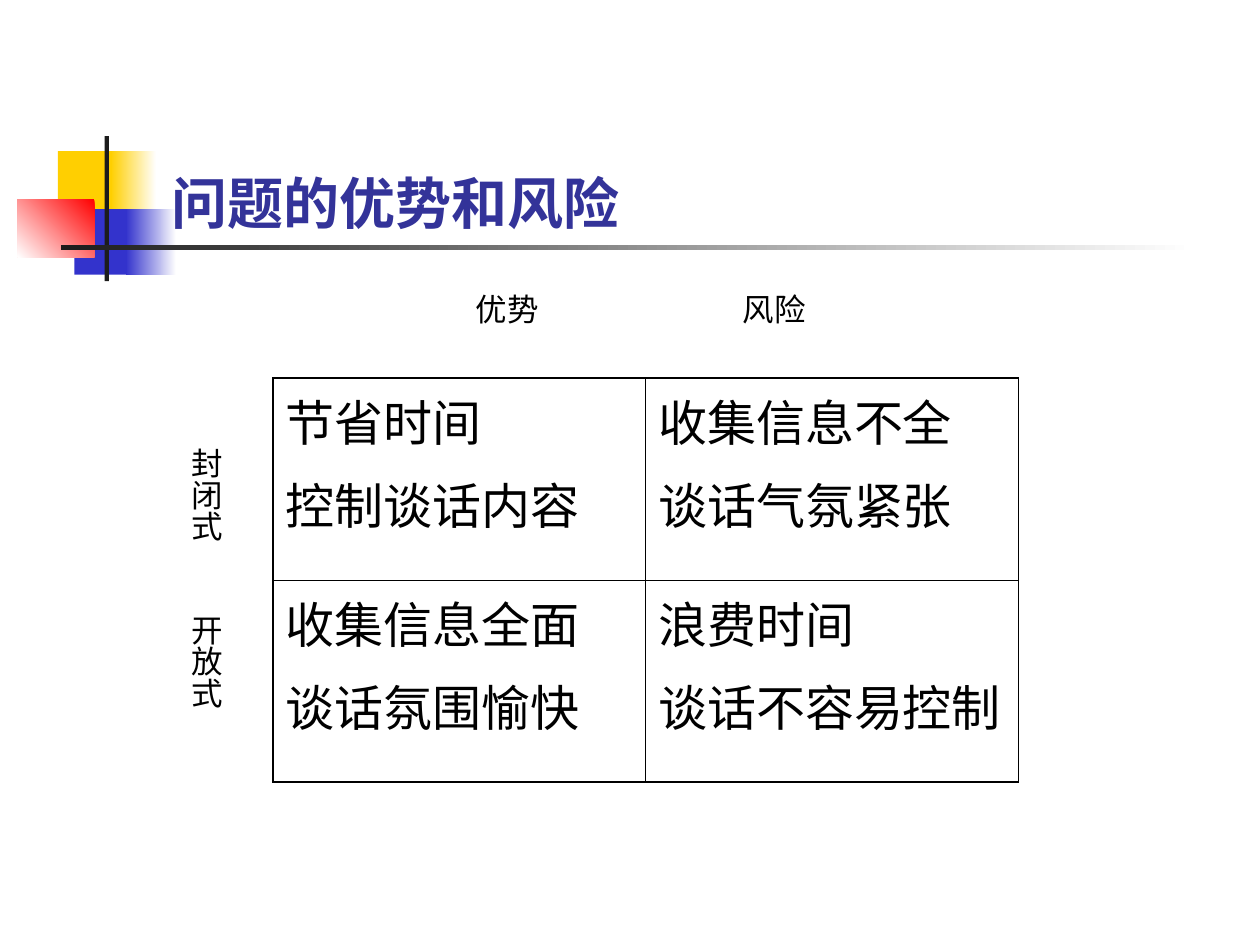
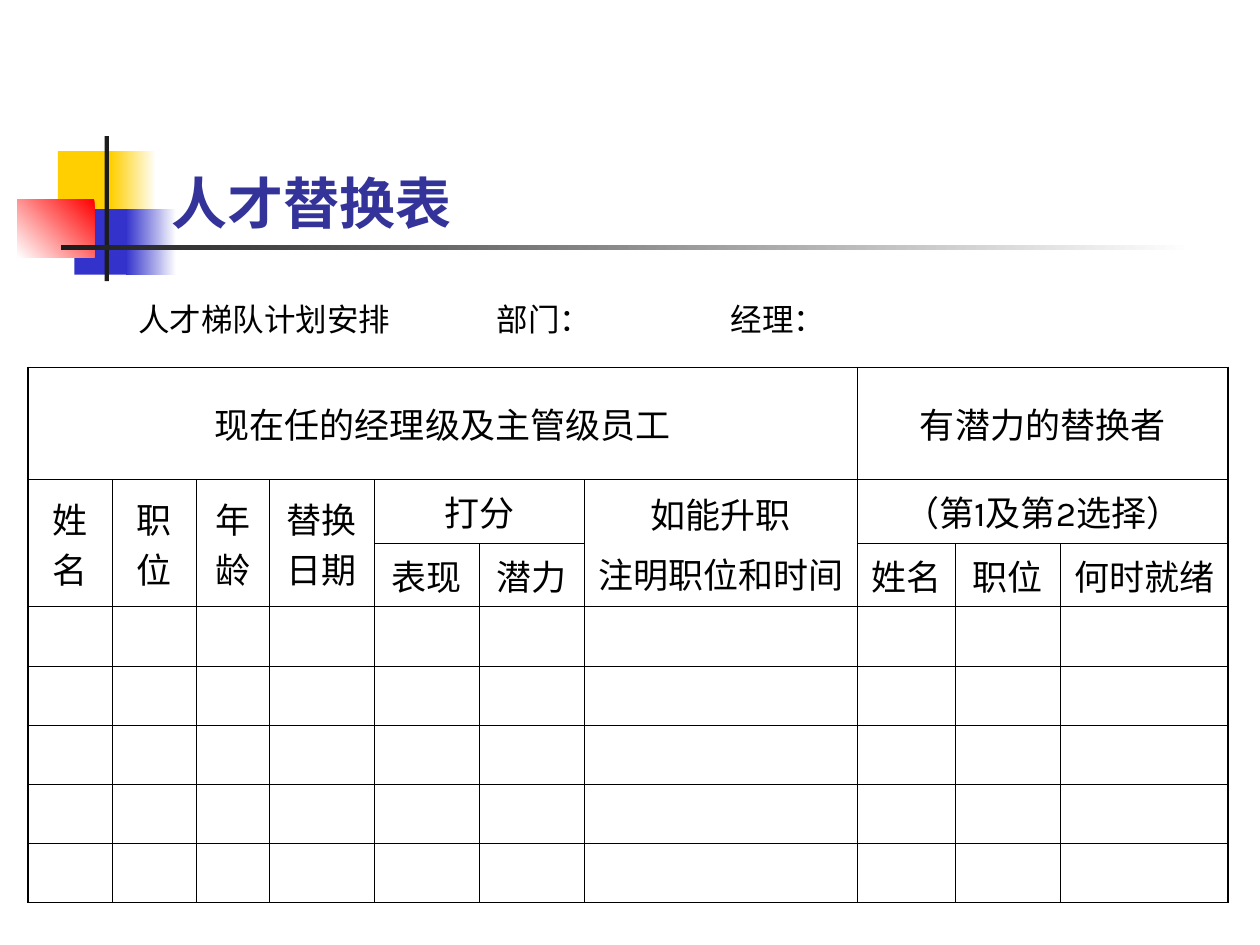
from typing import NamedTuple

from lxml.etree import SubElement
from pptx import Presentation
from pptx.dml.color import RGBColor
from pptx.enum.shapes import MSO_SHAPE as Shape
from pptx.enum.text import MSO_ANCHOR as Anchor, MSO_AUTO_SIZE as AutoSize, PP_ALIGN as Align
from pptx.oxml.ns import qn
from pptx.util import Pt

FONT = "Karla"
BLACK, WHITE, NAVY = "000000", "FFFFFF", "333399"
YELLOW, BLUE, RED, DARK = "FFCF01", "3333CC", "FF0000", "1C1C1C"
OUTER, INNER = 1.08, 0.45


class Block(NamedTuple):
    left: float
    top: float
    width: float
    height: float
    color: str
    end_color: str = ""
    angle: float = 180


class Label(NamedTuple):
    left: float
    top: float
    width: float
    height: float
    text: str
    tabs: tuple[float, ...] = ()
    size: float = 18
    color: str = BLACK
    bold: bool = False
    vertical: bool = False


class Entry(NamedTuple):
    row: int
    col: int
    text: str
    rows: int = 1
    cols: int = 1


class Grid(NamedTuple):
    left: float
    top: float
    cols: list[float]
    rows: list[float]
    entries: list[Entry]
    size: float
    space: float
    align: Align
    anchor: Anchor


MOTIF = [
    Block(33.1, 86.4, 34.6, 37.4, YELLOW),
    Block(63.4, 86.4, 25.9, 37.4, WHITE, YELLOW),
    Block(42.5, 119.5, 33.1, 37.4, BLUE),
    Block(72, 119.5, 28.8, 37.4, WHITE, BLUE),
    Block(10, 113.8, 44, 33.1, RED, WHITE, 225),
    Block(59.8, 77.8, 2.4, 82.8, DARK),
    Block(34.6, 140.2, 648, 2.4, WHITE, DARK),
]

QUESTION_GRID = Grid(
    156, 216, [213] * 2, [115.5] * 2,
    [
        Entry(0, 0, "节省时间\n控制谈话内容"),
        Entry(0, 1, "收集信息不全\n谈话气氛紧张"),
        Entry(1, 0, "收集信息全面\n谈话氛围愉快"),
        Entry(1, 1, "浪费时间\n谈话不容易控制"),
    ],
    28, 7, Align.LEFT, Anchor.TOP,
)
QUESTION_LABELS = [
    Label(96.5, 216, 36, 228, "\t封闭式\t开放式", (32.8, 128), vertical=True),
    Label(185.8, 162, 360, 28.8, "\t优势\t风险", (79, 231.6)),
]

SUCCESSION_GRID = Grid(
    16, 210, [48, 48, 42, 60, 60, 60, 156, 56, 60, 96], [64, 36.4, 36.4] + [33.8] * 5,
    [
        Entry(0, 0, "现在任的经理级及主管级员工", cols=7),
        Entry(0, 7, "有潜力的替换者", cols=3),
        Entry(1, 0, "姓名", rows=2),
        Entry(1, 1, "职位", rows=2),
        Entry(1, 2, "年龄", rows=2),
        Entry(1, 3, "替换日期", rows=2),
        Entry(1, 4, "打分", cols=2),
        Entry(1, 6, "如能升职\n注明职位和时间", rows=2),
        Entry(1, 7, "（第1及第2选择）", cols=3),
        Entry(2, 4, "表现"),
        Entry(2, 5, "潜力"),
        Entry(2, 7, "姓名"),
        Entry(2, 8, "职位"),
        Entry(2, 9, "何时就绪"),
    ],
    20, 5, Align.CENTER, Anchor.MIDDLE,
)
SUCCESSION_LABELS = [
    Label(72, 167.8, 612, 28.8, "人才梯队计划安排\t部门：\t经理：", (204.8, 338.5)),
]


def rgb(color: str) -> RGBColor:
    return RGBColor.from_string(color)


def style(p, size: float, color: str = BLACK, bold: bool = False) -> None:
    p.font.name = FONT
    p.font.size = Pt(size)
    p.font.bold = bold
    p.font.color.rgb = rgb(color)


def add_block(s, b: Block) -> None:
    sp = s.shapes.add_shape(Shape.RECTANGLE, *map(Pt, b[:4]))
    sp.shadow.inherit = False
    sp.line.fill.background()
    if b.end_color:
        sp.fill.gradient()
        sp.fill.gradient_angle = b.angle
        for stop, color in zip(sp.fill.gradient_stops, (b.color, b.end_color)):
            stop.color.rgb = rgb(color)
    else:
        sp.fill.solid()
        sp.fill.fore_color.rgb = rgb(b.color)


def add_label(s, label: Label):
    tf = s.shapes.add_textbox(*map(Pt, label[:4])).text_frame
    tf.word_wrap = True
    if label.vertical:
        tf._txBody.bodyPr.set("vert", "eaVert")
        tf.margin_left = tf.margin_right = Pt(3.6)
        tf.margin_top = tf.margin_bottom = Pt(7.2)
    p = tf.paragraphs[0]
    p.text = label.text
    if label.tabs:
        tabs = SubElement(p._p.get_or_add_pPr(), qn("a:tabLst"))
        for pos in label.tabs:
            SubElement(tabs, qn("a:tab"), pos=str(Pt(pos)), algn="l")
        tf.auto_size = AutoSize.SHAPE_TO_FIT_TEXT
    style(p, label.size, label.color, label.bold)
    return tf


def set_borders(cell, edges: dict[str, bool]) -> None:
    tcPr = cell._tc.get_or_add_tcPr()
    for i, (side, outer) in enumerate(edges.items()):
        width = Pt(OUTER if outer else INNER)
        ln = SubElement(tcPr, qn(f"a:ln{side}"), w=str(width))
        fill = SubElement(ln, qn("a:solidFill"))
        SubElement(fill, qn("a:srgbClr"), val=BLACK)
        tcPr.insert(i, ln)


def add_grid(s, grid: Grid) -> None:
    n_rows, n_cols = len(grid.rows), len(grid.cols)
    box = (grid.left, grid.top, sum(grid.cols), sum(grid.rows))
    table = s.shapes.add_table(n_rows, n_cols, *map(Pt, box)).table
    table.first_row = table.horz_banding = False
    for col, width in zip(table.columns, grid.cols):
        col.width = Pt(width)
    for row, height in zip(table.rows, grid.rows):
        row.height = Pt(height)
    for e in grid.entries:
        cell = table.cell(e.row, e.col)
        cell.text = e.text
        if e.rows * e.cols > 1:
            cell.merge(table.cell(e.row + e.rows - 1, e.col + e.cols - 1))
    for r in range(n_rows):
        for c in range(n_cols):
            cell = table.cell(r, c)
            cell.fill.background()
            cell.vertical_anchor = grid.anchor
            for i, p in enumerate(cell.text_frame.paragraphs):
                p.alignment = grid.align
                if i:
                    p.space_before = Pt(grid.space)
                style(p, grid.size if cell.text else 18)
            set_borders(cell, {
                "L": c == 0,
                "R": c + cell.span_width == n_cols,
                "T": r == 0,
                "B": r + cell.span_height == n_rows,
            })


def add_slide(prs, title: str, grid: Grid, labels: list[Label]) -> None:
    s = prs.slides.add_slide(prs.slide_layouts[6])
    for b in MOTIF:
        add_block(s, b)
    tf = add_label(s, Label(90.7, 48.2, 613.4, 90, title, size=32, color=NAVY, bold=True))
    tf.vertical_anchor = Anchor.BOTTOM
    add_grid(s, grid)
    for label in labels:
        add_label(s, label)


def main() -> None:
    prs = Presentation()
    prs.slide_width, prs.slide_height = Pt(720), Pt(540)
    add_slide(prs, "问题的优势和风险", QUESTION_GRID, QUESTION_LABELS)
    add_slide(prs, "人才替换表", SUCCESSION_GRID, SUCCESSION_LABELS)
    prs.save("out.pptx")


if __name__ == "__main__":
    main()
